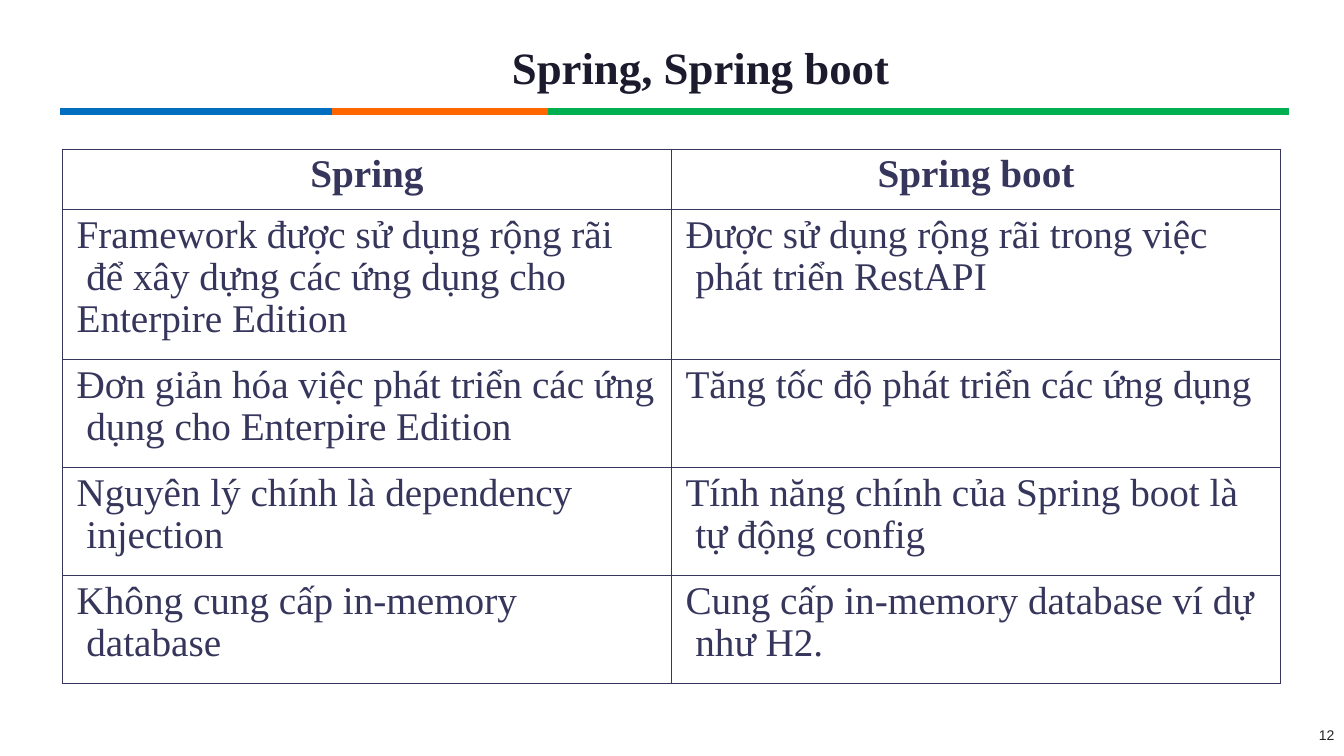
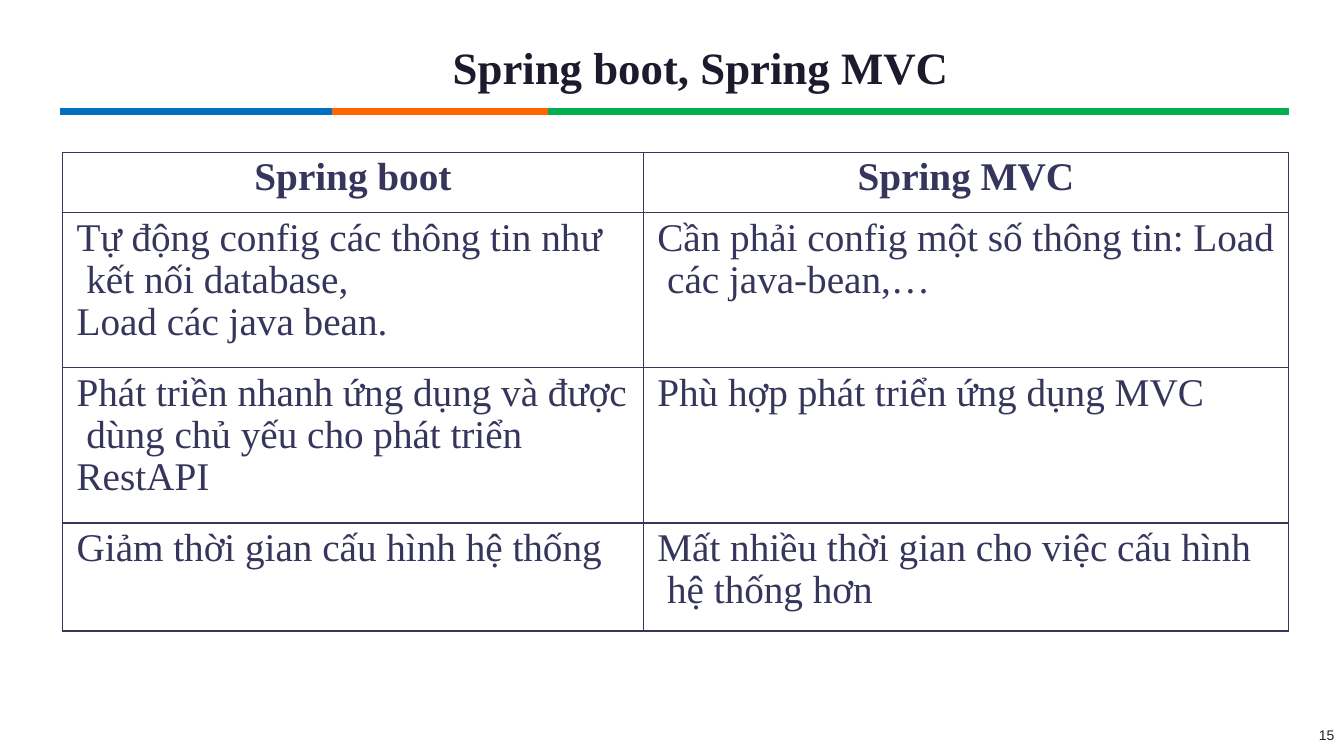
import dataclasses

import pptx
import pptx.dml.color
import pptx.enum.shapes
import pptx.enum.text
import pptx.oxml
import pptx.oxml.ns
import pptx.util

Inches = pptx.util.Inches
Pt = pptx.util.Pt
PP_ALIGN = pptx.enum.text.PP_ALIGN


@dataclasses.dataclass(frozen=True)
class Theme:
    title: str = "1B1B2D"
    body: str = "36365C"
    number: str = "252525"
    blue: str = "006FC0"
    orange: str = "FF6600"
    green: str = "00AF50"
    serif: str = "Times New Roman"
    sans: str = "Arial"
    title_size: int = 32
    body_size: int = 28
    number_size: int = 10


THEME = Theme()
BANDS = [(0.6, 3.29, THEME.blue), (3.3, 5.44, THEME.orange), (5.44, 12.78, THEME.green)]
TITLE_CENTER = 6.95

SLIDES = [
    {
        "title": "Spring, Spring boot",
        "title_width": 3.77,
        "number": "12",
        "top": 1.48,
        "cols": [6.04, 6.04],
        "row_heights": [0.6, 1.49, 1.07, 1.07, 1.07],
        "rows": [
            ("Spring", "Spring boot"),
            ("Framework được sử dụng rộng rãi\v để xây dựng các ứng dụng cho Enterpire Edition",
             "Được sử dụng rộng rãi trong việc\v phát triển RestAPI"),
            ("Đơn giản hóa việc phát triển các ứng\v dụng cho Enterpire Edition",
             "Tăng tốc độ phát triển các ứng dụng"),
            ("Nguyên lý chính là dependency\v injection",
             "Tính năng chính của Spring boot là\v tự động config"),
            ("Không cung cấp in-memory\v database",
             "Cung cấp in-memory database ví dự\v như H2."),
        ],
    },
    {
        "title": "Spring boot, Spring MVC",
        "title_width": 4.94,
        "number": "15",
        "top": 1.51,
        "cols": [5.76, 6.4],
        "row_heights": [0.6, 1.54, 1.54, 1.07],
        "rows": [
            ("Spring boot", "Spring MVC"),
            ("Tự động config các thông tin như\v kết nối database,\nLoad các java bean.",
             "Cần phải config một số thông tin: Load\v các java-bean,…"),
            ("Phát triền nhanh ứng dụng và được\v dùng chủ yếu cho phát triển RestAPI",
             "Phù hợp phát triển ứng dụng MVC"),
            ("Giảm thời gian cấu hình hệ thống",
             "Mất nhiều thời gian cho việc cấu hình\v hệ thống hơn"),
        ],
    },
]


def rgb(color):
    return pptx.dml.color.RGBColor.from_string(color)


def style_font(p, name, size, color, bold=False):
    p.font.name = name
    p.font.size = Pt(size)
    p.font.bold = bold
    p.font.color.rgb = rgb(color)


def set_margins(box, top=0):
    box.margin_left = box.margin_right = box.margin_bottom = 0
    box.margin_top = Inches(top)


def place_title(s, text, width):
    title = s.shapes.title
    title.left, title.top = Inches(TITLE_CENTER - width / 2), Inches(0.38)
    title.width, title.height = Inches(width), Inches(0.56)
    tf = title.text_frame
    tf.text = text
    tf.word_wrap = False
    tf.auto_size = pptx.enum.text.MSO_AUTO_SIZE.NONE
    tf.vertical_anchor = pptx.enum.text.MSO_ANCHOR.TOP
    set_margins(tf, 0.01)
    p = tf.paragraphs[0]
    p.alignment = PP_ALIGN.CENTER
    p.space_before = Pt(1.1)
    style_font(p, THEME.serif, THEME.title_size, THEME.title, bold=True)


def place_number(s, text):
    tf = s.shapes.add_textbox(Inches(13.04), Inches(7.21), Inches(0.24), Inches(0.18)).text_frame
    tf.text = text
    tf.word_wrap = True
    set_margins(tf)
    tf.margin_left = Inches(0.04)
    style_font(tf.paragraphs[0], THEME.sans, THEME.number_size, THEME.number)


def add_layout_bands(s):
    layout = s.slide_layout
    for ph in list(layout.placeholders)[1:]:
        layout.shapes.element.remove(ph.element)
    for left, right, color in BANDS:
        band = s.shapes.add_shape(
            pptx.enum.shapes.MSO_SHAPE.RECTANGLE,
            Inches(left), Inches(1.08), Inches(right - left), Inches(0.06))
        band.shadow.inherit = False
        band.fill.solid()
        band.fill.fore_color.rgb = rgb(color)
        band.line.color.rgb = rgb(color)
        band.line.width = Pt(0.96)
        layout.shapes.element.append(band.element)


def add_borders(cell):
    tcPr = cell._tc.get_or_add_tcPr()
    ns = pptx.oxml.ns.nsdecls("a")
    for i, side in enumerate(("lnL", "lnR", "lnT", "lnB")):
        tcPr.insert(i, pptx.oxml.parse_xml(
            f'<a:{side} {ns} w="{Pt(1)}"><a:solidFill>'
            f'<a:srgbClr val="{THEME.body}"/></a:solidFill></a:{side}>'))


def format_cell(cell, text, header):
    cell.fill.background()
    set_margins(cell, 0.05)
    add_borders(cell)
    cell.text_frame.text = text
    for i, p in enumerate(cell.text_frame.paragraphs):
        p.line_spacing = 0.97
        p.space_before = Pt(0 if i else 4)
        if header:
            p.alignment = PP_ALIGN.CENTER
        else:
            p._p.get_or_add_pPr().set("marL", str(Inches(0.14)))
        style_font(p, THEME.serif, THEME.body_size, THEME.body, bold=header)


def place_table(s, left, top, cols, row_heights, rows):
    frame = s.shapes.add_table(
        len(rows), len(cols), Inches(left), Inches(top),
        Inches(sum(cols)), Inches(sum(row_heights)))
    table = frame.table
    table.first_row = table.horz_banding = False
    for column, width in zip(table.columns, cols):
        column.width = Inches(width)
    for r, (height, texts) in enumerate(zip(row_heights, rows)):
        table.rows[r].height = Inches(height)
        for c, text in enumerate(texts):
            format_cell(table.cell(r, c), text, header=r == 0)


def build_slide(prs, data):
    s = prs.slides.add_slide(prs.slide_layouts[5])
    if len(prs.slides) == 1:
        add_layout_bands(s)
    place_title(s, data["title"], data["title_width"])
    place_number(s, data["number"])
    place_table(s, 0.62, data["top"], data["cols"], data["row_heights"], data["rows"])


def main():
    prs = pptx.Presentation()
    prs.slide_width, prs.slide_height = Inches(13.33), Inches(7.5)
    for data in SLIDES:
        build_slide(prs, data)
    prs.save("out.pptx")


if __name__ == "__main__":
    main()
